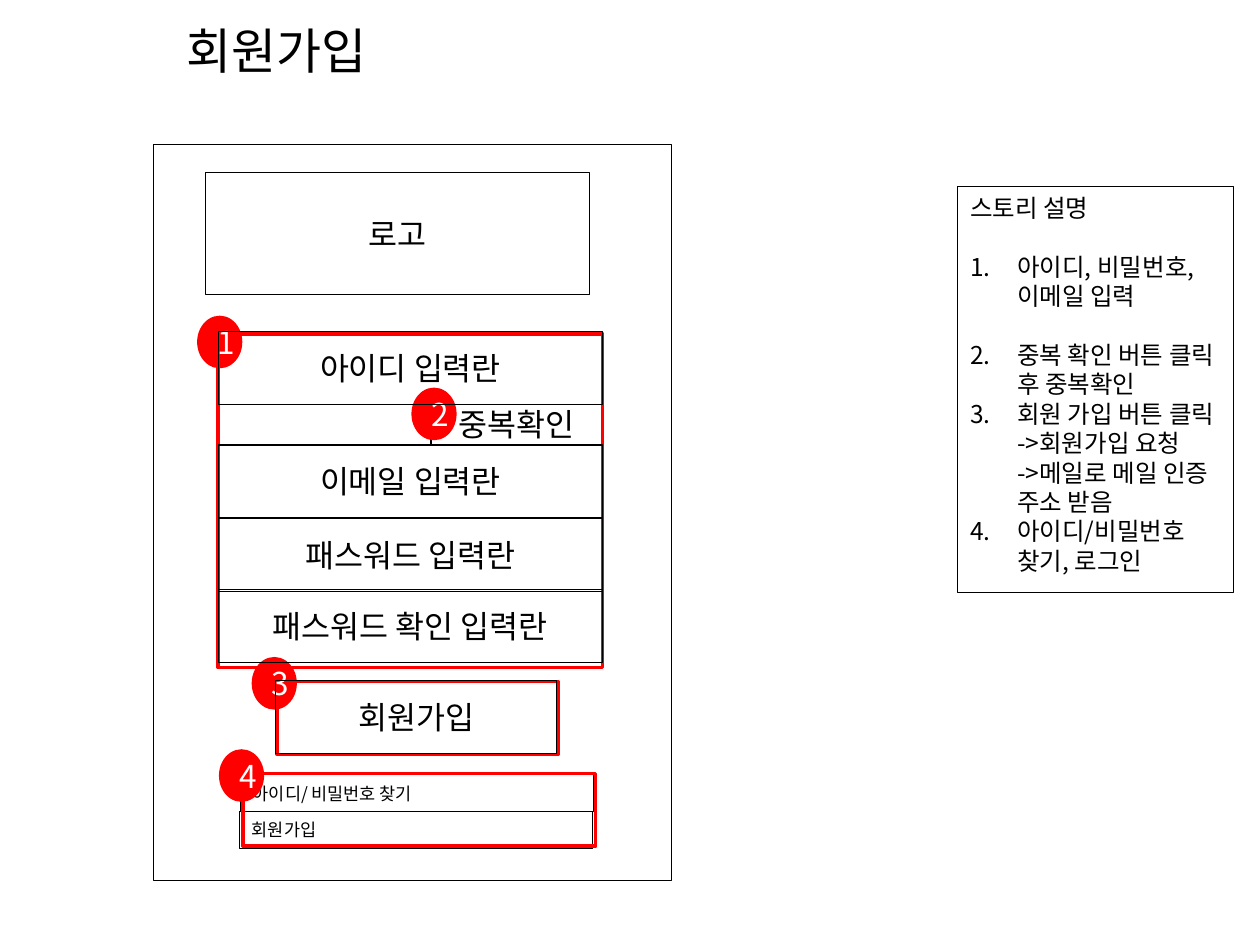
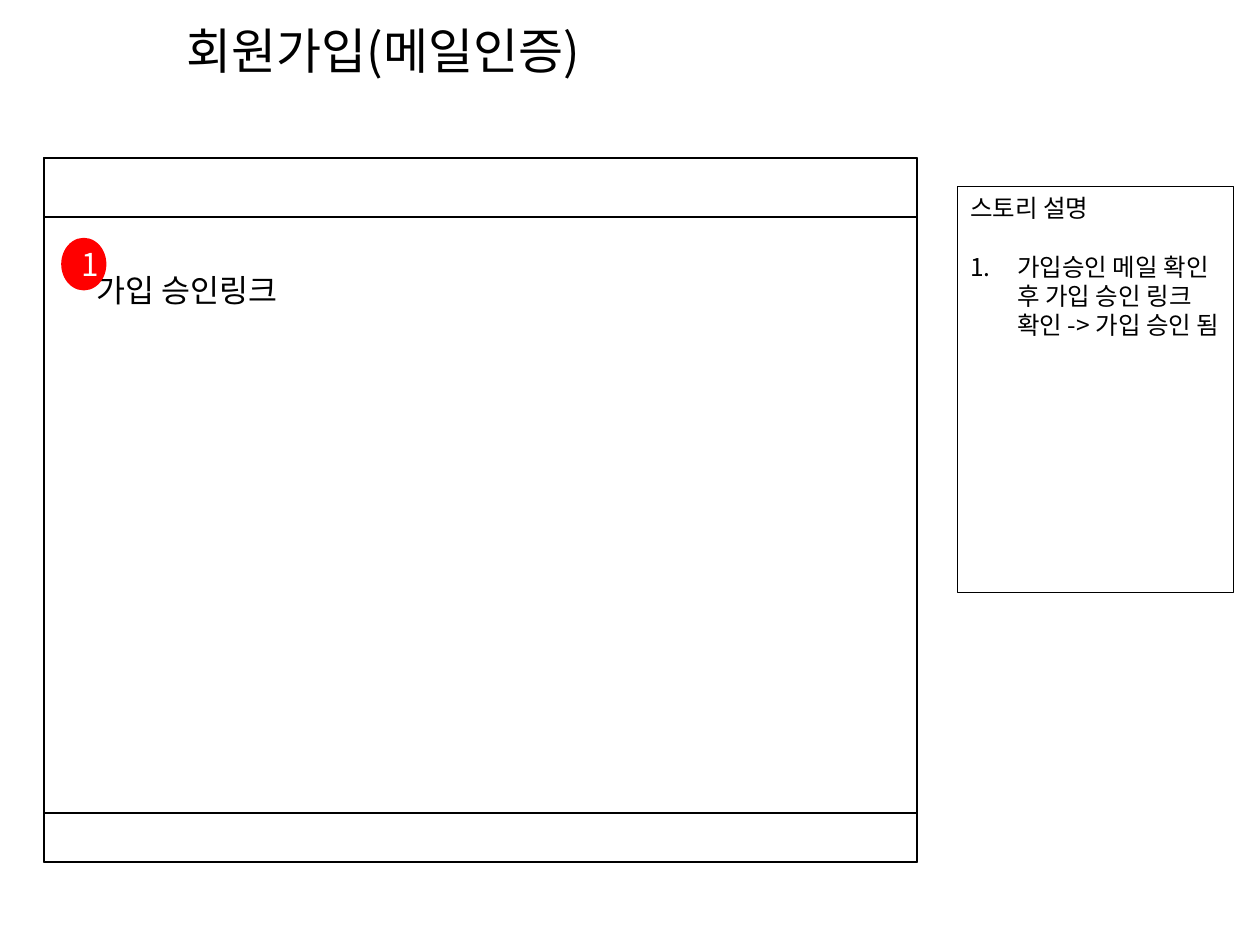
from lxml import etree
from pptx import Presentation
from pptx.dml.color import RGBColor
from pptx.enum.shapes import MSO_SHAPE
from pptx.enum.text import MSO_ANCHOR, MSO_AUTO_SIZE, PP_ALIGN
from pptx.oxml.ns import qn
from pptx.util import Cm, Pt

RECTANGLE, OVAL = MSO_SHAPE.RECTANGLE, MSO_SHAPE.OVAL
LEFT, CENTER = PP_ALIGN.LEFT, PP_ALIGN.CENTER
TOP, MIDDLE = MSO_ANCHOR.TOP, MSO_ANCHOR.MIDDLE
NO_AUTOFIT = MSO_AUTO_SIZE.NONE

BLACK = RGBColor(0x00, 0x00, 0x00)
RED = RGBColor(0xFF, 0x00, 0x00)
WHITE = RGBColor(0xFF, 0xFF, 0xFF)
FONT = "Noto Sans CJK KR"
LINE_HEIGHT = 1.2
STORY_SIZE = 14
STORY_GAP = STORY_SIZE * LINE_HEIGHT

# Boxes are left, top, width, height in centimetres
TITLE_BOX = (3.51, 0.28, 21.41, 1.45)
STORY_BOX = (19.3, 3.76, 5.56, 8.18)
FORM_BOX = (3.1, 2.92, 10.44, 14.83)
MAIL_BOX = (0.89, 3.18, 17.6, 14.2)
BADGE_WIDTH, BADGE_HEIGHT = 0.84, 0.99
FIELD_LEFT, FIELD_WIDTH, FIELD_HEIGHT = 1.3, 7.75, 1.47


def format_paragraph(paragraph, size, color=BLACK, align=LEFT):
    paragraph.alignment = align
    paragraph.line_spacing = Pt(size * LINE_HEIGHT)
    font = paragraph.font
    font.size = Pt(size)
    font.color.rgb = color
    font.name = FONT
    properties = paragraph._p.pPr.find(qn("a:defRPr"))
    etree.SubElement(properties, qn("a:ea"), typeface=FONT)


def number_paragraph(paragraph):
    properties = paragraph._p.get_or_add_pPr()
    properties.set("marL", str(Cm(0.95)))
    properties.set("indent", str(-Cm(0.95)))
    etree.SubElement(properties, qn("a:buFont"), typeface=FONT)
    etree.SubElement(properties, qn("a:buAutoNum"), type="arabicPeriod")


def place(shape, box):
    shape.left, shape.top, shape.width, shape.height = map(Cm, box)


def inside(box, left, top, width, height):
    """Turn a position relative to box into a position on the slide."""
    return box[0] + left, box[1] + top, width, height


def add_frame(slide, box, text="", size=18, align=CENTER, line=0.75, color=BLACK):
    shape = slide.shapes.add_shape(RECTANGLE, *map(Cm, box))
    shape.shadow.inherit = False
    shape.fill.background()
    shape.line.color.rgb = color
    shape.line.width = Pt(line)
    if text:
        shape.text_frame.text = text
        shape.text_frame.vertical_anchor = MIDDLE
        format_paragraph(shape.text_frame.paragraphs[0], size, align=align)


def add_badge(slide, box, number, left, top):
    badge_box = inside(box, left, top, BADGE_WIDTH, BADGE_HEIGHT)
    badge = slide.shapes.add_shape(OVAL, *map(Cm, badge_box))
    badge.shadow.inherit = False
    badge.fill.solid()
    badge.fill.fore_color.rgb = RED
    badge.line.color.rgb = RED
    badge.line.width = Pt(2)
    badge.text_frame.text = str(number)
    badge.text_frame.vertical_anchor = MIDDLE
    format_paragraph(badge.text_frame.paragraphs[0], 18, WHITE, CENTER)


def add_title(slide, text):
    title = slide.shapes.title
    place(title, TITLE_BOX)
    frame = title.text_frame
    frame.text = text
    frame.auto_size = NO_AUTOFIT
    frame.vertical_anchor = TOP
    format_paragraph(frame.paragraphs[0], 28)


def add_story(slide, box, steps):
    """Fill the body with a heading and numbered (text, space before) steps."""
    body = slide.placeholders[1]
    place(body, box)
    body.line.color.rgb = BLACK
    body.line.width = Pt(0.75)
    frame = body.text_frame
    frame.auto_size = NO_AUTOFIT
    frame.vertical_anchor = TOP
    heading = frame.paragraphs[0]
    heading.text = "스토리 설명"
    heading.space_before = Pt(0)
    properties = heading._p.get_or_add_pPr()
    properties.set("marL", "0")
    properties.set("indent", "0")
    etree.SubElement(properties, qn("a:buNone"))
    format_paragraph(heading, STORY_SIZE)
    for text, gap in steps:
        paragraph = frame.add_paragraph()
        paragraph.text = text
        paragraph.space_before = Pt(gap)
        number_paragraph(paragraph)
        format_paragraph(paragraph, STORY_SIZE)


def add_sign_up_form(slide, box):
    add_frame(slide, box)
    add_frame(slide, inside(box, 1.04, 0.56, FIELD_WIDTH, 2.46), "로고")
    fields = [
        ("아이디 입력란", 3.76),
        ("이메일 입력란", 6.05),
        ("패스워드 입력란", 7.54),
        ("패스워드 확인 입력란", 8.97),
    ]
    red_frames = [
        (FIELD_LEFT, 3.81, FIELD_WIDTH, 6.73),
        (2.49, 10.82, 5.66, FIELD_HEIGHT),
        (1.8, 12.67, 7.11, FIELD_HEIGHT),
    ]
    links = [("아이디/ 비밀번호 찾기", 1.75, 12.7), ("회원가입", 1.73, 13.44)]
    badges = [(0.91, 3.48), (5.23, 4.93), (2.01, 10.36), (1.35, 12.22)]

    add_frame(slide, inside(box, 5.59, 5.23, 3.45, 0.81), "중복확인")
    for text, left, top in links:
        add_frame(slide, inside(box, left, top, 7.11, 0.74), text, 10, LEFT, 0.5)
    for red_frame in red_frames:
        add_frame(slide, inside(box, *red_frame), line=2, color=RED)
    for number, (left, top) in enumerate(badges, 1):
        add_badge(slide, box, number, left, top)
    for text, top in fields:
        add_frame(slide, inside(box, FIELD_LEFT, top, FIELD_WIDTH, FIELD_HEIGHT), text)
    add_frame(slide, inside(box, 2.46, 10.8, 5.66, FIELD_HEIGHT), "회원가입")


def add_mail_window(slide, box):
    width, height = box[2:]
    header_height, footer_height = 1.19, 0.99
    add_frame(slide, box, line=1)
    add_frame(slide, inside(box, 0, 0, width, header_height), line=1)
    add_frame(slide, inside(box, 0, height - footer_height, width, footer_height), line=1)
    link = slide.shapes.add_textbox(*map(Cm, inside(box, 0.81, 2.16, 5.79, 1.02)))
    link.text_frame.word_wrap = True
    link.text_frame.text = "가입 승인링크"
    format_paragraph(link.text_frame.paragraphs[0], 18)
    add_badge(slide, box, 1, 0.38, 1.65)


def add_screen(presentation, title, add_wireframe, wireframe_box, steps):
    slide = presentation.slides.add_slide(presentation.slide_layouts[1])
    add_title(slide, title)
    add_wireframe(slide, wireframe_box)
    add_story(slide, STORY_BOX, steps)


def main():
    presentation = Presentation()
    presentation.slide_width = Cm(25.4)
    presentation.slide_height = Cm(19.05)
    add_screen(presentation, "회원가입", add_sign_up_form, FORM_BOX, [
        ("아이디, 비밀번호, 이메일 입력", STORY_GAP),
        ("중복 확인 버튼 클릭 후 중복확인", STORY_GAP),
        ("회원 가입 버튼 클릭\v->회원가입 요청\v->메일로 메일 인증 주소 받음", 0),
        ("아이디/비밀번호 찾기, 로그인", 0),
    ])
    add_screen(presentation, "회원가입(메일인증)", add_mail_window, MAIL_BOX, [
        ("가입승인 메일 확인 후 가입 승인 링크 확인 -> 가입 승인 됨", STORY_GAP),
    ])
    presentation.save("out.pptx")


if __name__ == "__main__":
    main()
